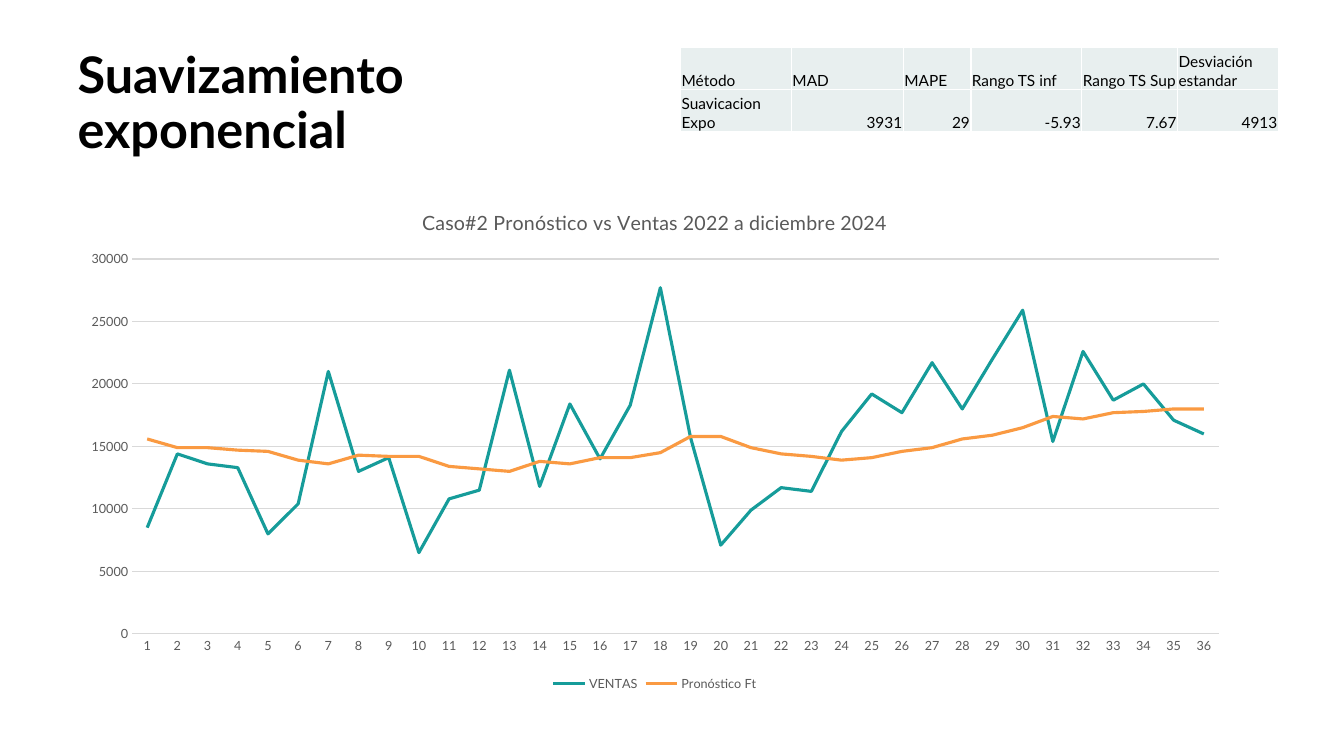
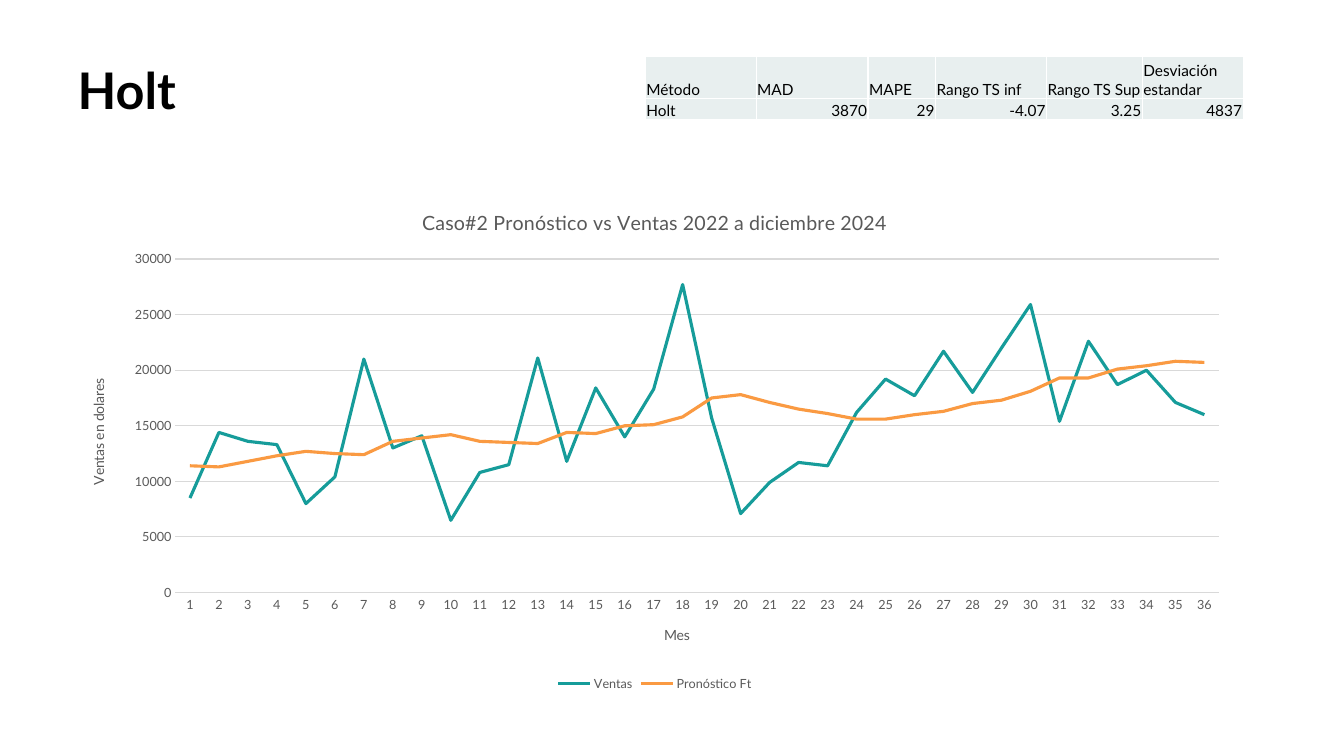
from dataclasses import dataclass

from lxml.etree import SubElement
from pptx import Presentation
from pptx.chart.data import CategoryChartData
from pptx.dml.color import RGBColor
from pptx.enum.chart import XL_CHART_TYPE, XL_LEGEND_POSITION, XL_TICK_MARK
from pptx.enum.text import MSO_ANCHOR, MSO_AUTO_SIZE, PP_ALIGN
from pptx.oxml import parse_xml
from pptx.oxml.ns import nsdecls, qn
from pptx.util import Inches, Pt


@dataclass(frozen=True)
class Theme:
    font: str = "Lato"
    black: str = "000000"
    grey: str = "595959"
    rule: str = "D9D9D9"
    white: str = "FFFFFF"
    cell: str = "E8EFEF"
    series: tuple = ("169C9A", "FA9A42")
    title_size: float = 36
    table_size: float = 11
    chart_title_size: float = 14
    axis_title_size: float = 10
    label_size: float = 9
    series_width: float = 2.25
    rule_width: float = 0.75


@dataclass(frozen=True)
class Method:
    title: str
    title_box: tuple
    table_origin: tuple
    row_heights: tuple
    results: tuple
    sales_name: str
    forecast: tuple
    plot_box: tuple
    axis_titles: tuple = ()


THEME = Theme()
CHART_BOX = (0.67, 1.88, 11.65, 5.02)
CHART_TITLE = "Caso#2 Pronóstico vs Ventas 2022 a diciembre 2024"
HEADINGS = ("Método", "MAD", "MAPE", "Rango TS inf", "Rango TS Sup", "Desviación estandar")
COLUMN_WIDTHS = (1.1, 1.11, 0.67, 1.1, 0.95, 1)
SALES = (
    8500, 14400, 13600, 13300, 8000, 10400, 21000, 13000, 14100, 6500, 10800, 11500,
    21100, 11800, 18400, 14000, 18300, 27700, 15700, 7100, 9900, 11700, 11400, 16200,
    19200, 17700, 21700, 18000, 22000, 25900, 15400, 22600, 18700, 20000, 17100, 16000,
)
METHODS = (
    Method(
        title="Suavizamiento exponencial",
        title_box=(0.67, 0.45, 4.96, 1.24),
        table_origin=(6.75, 0.47),
        row_heights=(0.42, 0.42),
        results=("Suavicacion Expo", "3931", "29", "-5.93", "7.67", "4913"),
        sales_name="VENTAS",
        forecast=(
            15600, 14900, 14900, 14700, 14600, 13900, 13600, 14300, 14200, 14200, 13400, 13200,
            13000, 13800, 13600, 14100, 14100, 14500, 15800, 15800, 14900, 14400, 14200, 13900,
            14100, 14600, 14900, 15600, 15900, 16500, 17400, 17200, 17700, 17800, 18000, 18000,
        ),
        plot_box=(0.64, 0.69, 10.78, 3.72),
    ),
    Method(
        title="Holt",
        title_box=(0.67, 0.6, 11.65, 1.24),
        table_origin=(6.4, 0.56),
        row_heights=(0.42, 0.21),
        results=("Holt", "3870", "29", "-4.07", "3.25", "4837"),
        sales_name="Ventas",
        forecast=(
            11400, 11300, 11800, 12300, 12700, 12500, 12400, 13600, 13900, 14200, 13600, 13500,
            13400, 14400, 14300, 15000, 15100, 15800, 17500, 17800, 17100, 16500, 16100, 15600,
            15600, 16000, 16300, 17000, 17300, 18100, 19300, 19300, 20100, 20400, 20800, 20700,
        ),
        plot_box=(1.07, 0.69, 10.35, 3.31),
        axis_titles=("Mes", "Ventas en dolares"),
    ),
)


def style_font(font, size, color, bold=False):
    font.name = THEME.font
    font.size = Pt(size)
    font.bold = bold
    font.color.rgb = RGBColor.from_string(color)


def style_line(line, color, width):
    line.color.rgb = RGBColor.from_string(color)
    line.width = Pt(width)


def add_title(slide, text, box):
    title = slide.shapes.title
    title.left, title.top, title.width, title.height = map(Inches, box)
    frame = title.text_frame
    frame.text = text
    frame.word_wrap = True
    frame.auto_size = MSO_AUTO_SIZE.NONE
    frame.vertical_anchor = MSO_ANCHOR.TOP
    heading = frame.paragraphs[0]
    heading.alignment = PP_ALIGN.LEFT
    heading.line_spacing = 0.9
    style_font(heading.font, THEME.title_size, THEME.black, bold=True)


def add_cell_borders(cell):
    properties = cell._tc.get_or_add_tcPr()
    for position, side in enumerate(("lnL", "lnR", "lnT", "lnB")):
        properties.insert(position, parse_xml(
            f'<a:{side} {nsdecls("a")} w="{Pt(1)}"><a:solidFill>'
            f'<a:srgbClr val="{THEME.white}"/></a:solidFill></a:{side}>'
        ))


def fill_cell(cell, text, alignment):
    cell.text = text
    cell.vertical_anchor = MSO_ANCHOR.BOTTOM
    cell.margin_left = cell.margin_right = cell.margin_top = Inches(0.01)
    cell.margin_bottom = Inches(0)
    cell.fill.solid()
    cell.fill.fore_color.rgb = RGBColor.from_string(THEME.cell)
    add_cell_borders(cell)
    content = cell.text_frame.paragraphs[0]
    content.alignment = alignment
    style_font(content.font, THEME.table_size, THEME.black)


def add_results(slide, results, origin, row_heights):
    left, top = origin
    table = slide.shapes.add_table(
        len(row_heights), len(HEADINGS), Inches(left), Inches(top),
        Inches(sum(COLUMN_WIDTHS)), Inches(sum(row_heights)),
    ).table
    for column, width in zip(table.columns, COLUMN_WIDTHS):
        column.width = Inches(width)
    for row, height in zip(table.rows, row_heights):
        row.height = Inches(height)
    for row_index, texts in enumerate((HEADINGS, results)):
        for column_index, text in enumerate(texts):
            is_number = row_index > 0 and column_index > 0
            alignment = PP_ALIGN.RIGHT if is_number else PP_ALIGN.LEFT
            fill_cell(table.cell(row_index, column_index), text, alignment)


def set_caption(owner, text, size):
    frame = (owner.chart_title if hasattr(owner, "chart_title") else owner.axis_title).text_frame
    frame.text = text
    style_font(frame.paragraphs[0].font, size, THEME.grey)


def place_plot(chart, plot_box, chart_box):
    plot_area = chart._chartSpace.chart.plotArea
    for existing in plot_area.findall(qn("c:layout")):
        plot_area.remove(existing)
    layout = parse_xml(f'<c:layout {nsdecls("c")}/>')
    plot_area.insert(0, layout)
    manual = SubElement(layout, qn("c:manualLayout"))
    left, top, width, height = plot_box
    chart_width, chart_height = chart_box[2:]
    settings = {
        "layoutTarget": "inner", "xMode": "edge", "yMode": "edge",
        "x": left / chart_width, "y": top / chart_height,
        "w": width / chart_width, "h": height / chart_height,
    }
    for tag, value in settings.items():
        SubElement(manual, qn(f"c:{tag}")).set("val", str(value))


def style_axes(chart, axis_titles):
    months, amounts = chart.category_axis, chart.value_axis
    for axis in (months, amounts):
        axis.major_tick_mark = axis.minor_tick_mark = XL_TICK_MARK.NONE
        style_font(axis.tick_labels.font, THEME.label_size, THEME.grey)
    for axis, text in zip((months, amounts), axis_titles):
        set_caption(axis, text, THEME.axis_title_size)
    style_line(months.format.line, THEME.rule, THEME.rule_width)
    amounts.format.line.fill.background()
    amounts.has_major_gridlines = True
    style_line(amounts.major_gridlines.format.line, THEME.rule, THEME.rule_width)
    amounts.minimum_scale, amounts.maximum_scale, amounts.major_unit = 0, 30000, 5000
    amounts.tick_labels.number_format = "0"
    amounts.tick_labels.number_format_is_linked = False


def add_forecast_chart(slide, method, box):
    sales_data = CategoryChartData(number_format="0")
    sales_data.categories = [str(month) for month in range(1, len(SALES) + 1)]
    sales_data.add_series(method.sales_name, SALES)
    sales_data.add_series("Pronóstico Ft", method.forecast)
    chart = slide.shapes.add_chart(
        XL_CHART_TYPE.LINE, *map(Inches, box), sales_data
    ).chart
    style_font(chart.font, THEME.axis_title_size, THEME.black)
    set_caption(chart, CHART_TITLE, THEME.chart_title_size)
    chart.has_legend = True
    chart.legend.position = XL_LEGEND_POSITION.BOTTOM
    chart.legend.include_in_layout = False
    style_font(chart.legend.font, THEME.label_size, THEME.grey)
    chart.plots[0].vary_by_categories = False
    for series, color in zip(chart.plots[0].series, THEME.series):
        series.smooth = False
        style_line(series.format.line, color, THEME.series_width)
    style_axes(chart, method.axis_titles)
    place_plot(chart, method.plot_box, box)


def add_method_slide(presentation, method):
    slide = presentation.slides.add_slide(presentation.slide_layouts[5])
    slide.background.fill.solid()
    slide.background.fill.fore_color.rgb = RGBColor.from_string(THEME.white)
    add_title(slide, method.title, method.title_box)
    add_forecast_chart(slide, method, CHART_BOX)
    add_results(slide, method.results, method.table_origin, method.row_heights)


def main():
    presentation = Presentation()
    presentation.slide_width = Inches(13.33)
    presentation.slide_height = Inches(7.5)
    for method in METHODS:
        add_method_slide(presentation, method)
    presentation.save("out.pptx")


if __name__ == "__main__":
    main()
